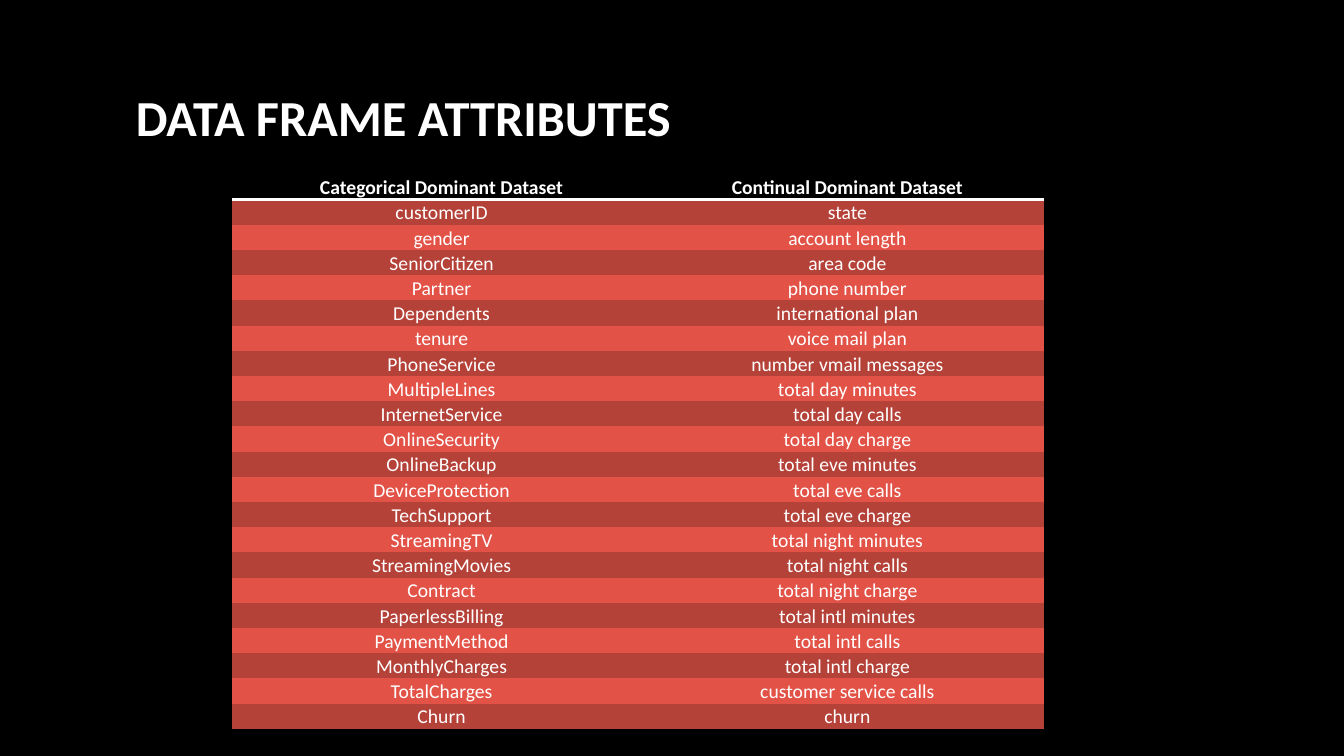
from dataclasses import dataclass

from lxml import etree
from pptx import Presentation
from pptx.dml.color import RGBColor
from pptx.enum.text import MSO_ANCHOR, PP_ALIGN
from pptx.oxml.ns import qn
from pptx.util import Inches, Pt

MIDDLE = MSO_ANCHOR.MIDDLE
LEFT, CENTER = PP_ALIGN.LEFT, PP_ALIGN.CENTER


@dataclass(frozen=True)
class Theme:
    font: str = "Calibri"
    back: str = "000000"
    text: str = "FFFFFF"
    dark: str = "B54239"
    light: str = "E25247"
    title: int = 36
    body: int = 14
    rule: int = 2


TITLE = "DATA FRAME ATTRIBUTES"
ROWS = [
    ("Categorical Dominant Dataset", "Continual Dominant Dataset"),
    ("customerID", "state"),
    ("gender", "account length"),
    ("SeniorCitizen", "area code"),
    ("Partner", "phone number"),
    ("Dependents", "international plan"),
    ("tenure", "voice mail plan"),
    ("PhoneService", "number vmail messages"),
    ("MultipleLines", "total day minutes"),
    ("InternetService", "total day calls"),
    ("OnlineSecurity", "total day charge"),
    ("OnlineBackup", "total eve minutes"),
    ("DeviceProtection", "total eve calls"),
    ("TechSupport", "total eve charge"),
    ("StreamingTV", "total night minutes"),
    ("StreamingMovies", "total night calls"),
    ("Contract", "total night charge"),
    ("PaperlessBilling", "total intl minutes"),
    ("PaymentMethod", "total intl calls"),
    ("MonthlyCharges", "total intl charge"),
    ("TotalCharges", "customer service calls"),
    ("Churn", "churn"),
]


class Page:
    def __init__(self, deck, theme):
        self.theme = theme
        self.slide = deck.slides.add_slide(deck.slide_layouts[6])
        fill = self.slide.background.fill
        fill.solid()
        fill.fore_color.rgb = RGBColor.from_string(theme.back)

    def style(self, para, size, bold, align):
        para.alignment = align
        font = para.font
        font.name, font.size, font.bold = self.theme.font, Pt(size), bold
        font.color.rgb = RGBColor.from_string(self.theme.text)

    def title(self, text, left, top, width, height):
        box = self.slide.shapes.add_textbox(
            Inches(left), Inches(top), Inches(width), Inches(height))
        frame = box.text_frame
        frame.word_wrap = True
        frame.vertical_anchor = MIDDLE
        frame.text = text
        self.style(frame.paragraphs[0], self.theme.title, True, LEFT)

    def edge(self, cell, side, shown):
        """Draw one cell border, or clear the one the table style gives."""
        line = etree.SubElement(cell._tc.get_or_add_tcPr(), qn(f"a:ln{side}"))
        if shown:
            line.set("w", str(Pt(self.theme.rule)))
            fill = etree.SubElement(line, qn("a:solidFill"))
            etree.SubElement(fill, qn("a:srgbClr"), val=self.theme.text)
        else:
            etree.SubElement(line, qn("a:noFill"))

    def cell(self, cell, text, row):
        theme = self.theme
        for side in "LRTB":
            self.edge(cell, side, (row, side) in ((0, "B"), (1, "T")))
        color = (theme.light, theme.dark)[row % 2] if row else theme.back
        cell.fill.solid()
        cell.fill.fore_color.rgb = RGBColor.from_string(color)
        cell.margin_left = cell.margin_right = Inches(0.06)
        cell.margin_top = cell.margin_bottom = 0
        cell.vertical_anchor = MIDDLE
        cell.text = text
        para = cell.text_frame.paragraphs[0]
        para.line_spacing = 1.07
        self.style(para, theme.body, row == 0, CENTER)

    def table(self, rows, left, top, widths, height):
        table = self.slide.shapes.add_table(
            len(rows), len(widths), Inches(left), Inches(top),
            Inches(sum(widths)), Inches(height * len(rows))).table
        for col, width in zip(table.columns, widths):
            col.width = Inches(width)
        for r, texts in enumerate(rows):
            table.rows[r].height = Inches(height)
            for c, text in enumerate(texts):
                self.cell(table.cell(r, c), text, r)


def main():
    deck = Presentation()
    deck.slide_width, deck.slide_height = Inches(13.33), Inches(7.5)
    page = Page(deck, Theme())
    page.title(TITLE, 1.25, 0.11, 10.83, 2.08)
    page.table(ROWS, 2.3, 1.73, (4.16, 3.89), 0.22)
    deck.save("out.pptx")


if __name__ == "__main__":
    main()
